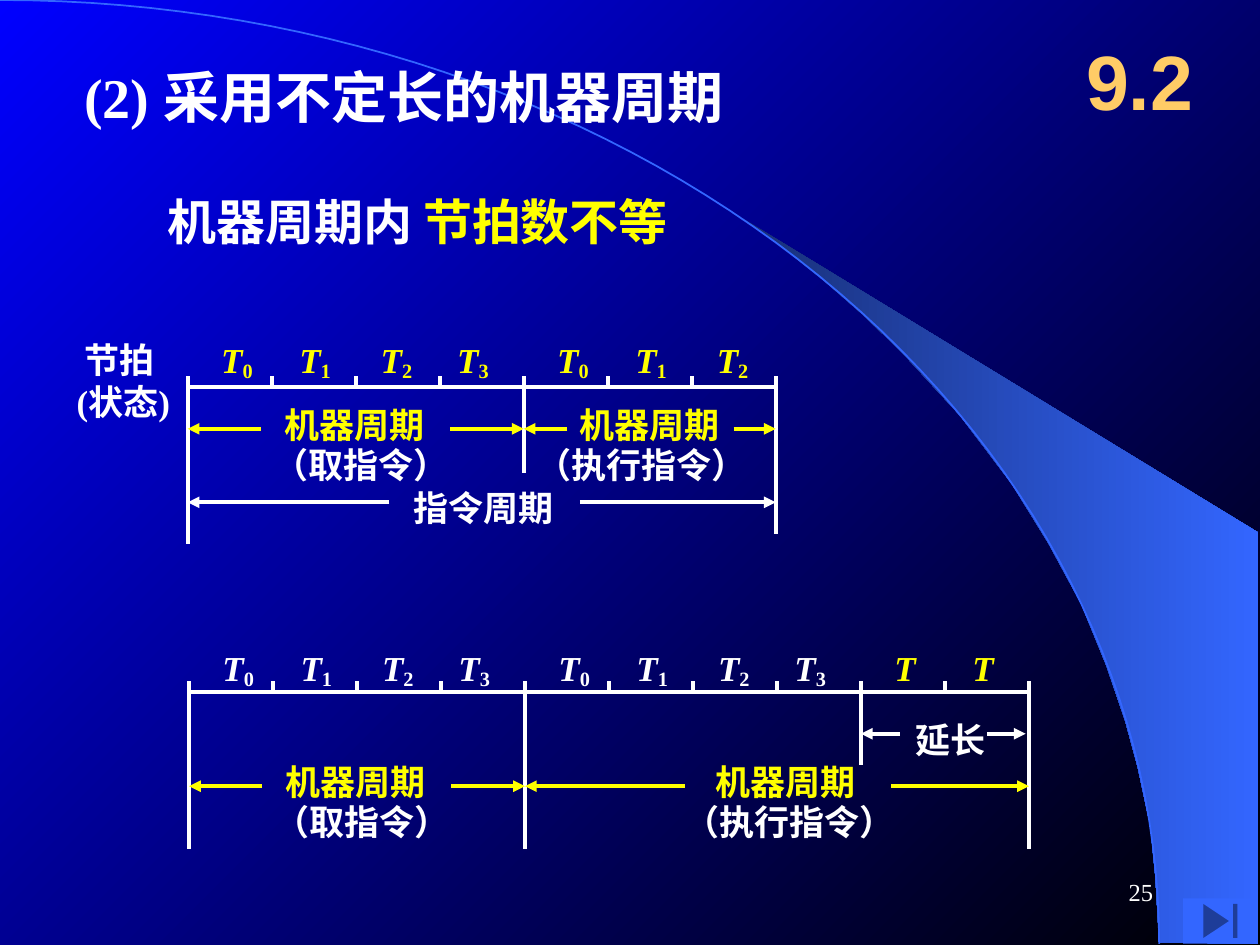
import math
import pptx
import pptx.dml.color
import pptx.enum.shapes
import pptx.enum.text
import pptx.oxml.ns
import pptx.util
from lxml import etree

WIDTH, HEIGHT = 10, 7.5
COLUMN, ROW = 2 / 3, 1 / 12  # one beat wide, one tick high
LABEL_COLUMNS = (0.25, 1.18, 2.15, 3.06)  # beat labels within a four-beat cycle
COLORS = {"white": "FFFFFF", "yellow": "FFFF00", "gold": "FFCC66", "blue": "3366FF",
          "navy": "182F76", "sky": "0000FF", "night": "000000"}
BAND = [(9.2, 7.48), (9.99, 7.49), (9.99, 4.23), (5.89, 1.73), (6.24, 1.99), (6.53, 2.22),
        (6.85, 2.5), (7.16, 2.8), (7.62, 3.3), (8.03, 3.84), (8.32, 4.31), (8.58, 4.79),
        (8.78, 5.28), (8.93, 5.72), (9.03, 6.09), (9.13, 6.56), (9.17, 6.96)]


def inches(*values):
    return [pptx.util.Inches(value) for value in values]


def rgb(name):
    return pptx.dml.color.RGBColor.from_string(COLORS[name])


def paint_gradient(fill, first, last, angle):
    fill.gradient()
    fill.gradient_angle = angle
    for stop, name in zip(fill.gradient_stops, (first, last)):
        stop.color.rgb = rgb(name)


def add_outline(page, points, closed):
    builder = page.shapes.build_freeform(*inches(*points[0]), scale=1.0)
    builder.add_line_segments([inches(*point) for point in points[1:]], close=closed)
    shape = builder.convert_to_shape()
    shape.shadow.inherit = False
    return shape


def add_text(shapes, area, paragraphs, wrap=False, align="LEFT", anchor="TOP", **formats):
    """Each paragraph is a list of (text, format) spans."""
    box = shapes.add_textbox(*inches(*area))
    frame = box.text_frame
    frame.word_wrap = wrap
    frame.vertical_anchor = getattr(pptx.enum.text.MSO_ANCHOR, anchor)
    for index, spans in enumerate(paragraphs):
        para = frame.add_paragraph() if index else frame.paragraphs[0]
        para.alignment = getattr(pptx.enum.text.PP_ALIGN, align)
        for text, changes in spans:
            span = para.add_run()
            span.text = text
            values = {"size": 20, "name": "Times New Roman", "bold": True,
                      "color": "white", **formats, **changes}
            span.font.color.rgb = rgb(values.pop("color"))
            values["size"] = pptx.util.Pt(values["size"])
            baseline = values.pop("baseline", None)
            for key, value in values.items():
                setattr(span.font, key, value)
            if baseline:
                span._r.get_or_add_rPr().set("baseline", str(baseline))


def add_line(shapes, origin, start, end, color="white", arrow=False):
    """Draw between two (column, row) places counted from the origin."""
    ends = [origin[axis] + place[axis] * (COLUMN, ROW)[axis]
            for place in (start, end) for axis in (0, 1)]
    line = shapes.add_connector(pptx.enum.shapes.MSO_CONNECTOR.STRAIGHT, *inches(*ends))
    line.line.color.rgb = rgb(color)
    line.line.width = pptx.util.Pt(2.25)
    if arrow:
        etree.SubElement(line.line._get_or_add_ln(), pptx.oxml.ns.qn("a:tailEnd"), type="triangle")
    etree.SubElement(line._element.spPr, pptx.oxml.ns.qn("a:effectLst"))


def add_label(shapes, origin, column, row, text, color="white"):
    area = (origin[0] + column * COLUMN, origin[1] + row * ROW, 0.2 + 0.28 * len(text), 0.44)
    add_text(shapes, area, [[(text, {})]], color=color)


def add_beat(shapes, origin, column, row, number, color):
    spans = [("T", {"italic": True})]
    if number is not None:
        spans.append((str(number), {"baseline": -15000}))
    area = (origin[0] + column * COLUMN, origin[1] + row * ROW, 0.37 if number is None else 0.45, 0.45)
    add_text(shapes, area, [spans], color=color)


def add_timeline(page, origin, label_row, cycles, drops, arrows, labels):
    """Axis with ticks, numbered beats, arrows and captions in one group.

    cycles: (beat numbers, color); drops: rows a tick reaches below the axis.
    """
    shapes = page.shapes.add_group_shape().shapes
    total = sum(len(numbers) for numbers, _ in cycles)
    add_line(shapes, origin, (0, 0), (total, 0))
    for column in range(total + 1):
        add_line(shapes, origin, (column, -1), (column, drops.get(column, 0)))
    for row, color, start, end in arrows:
        add_line(shapes, origin, (start, row), (end, row), color, arrow=True)
    for label in labels:
        add_label(shapes, origin, *label)
    for index, (numbers, color) in enumerate(cycles):
        for offset, number in zip(LABEL_COLUMNS, numbers):
            add_beat(shapes, origin, 4 * index + offset, label_row, number, color)


def add_backdrop(page):
    paint_gradient(page.background.fill, "sky", "night", 315)
    band = add_outline(page, BAND, closed=True)
    paint_gradient(band.fill, "navy", "blue", 0)
    band.line.fill.background()
    # Quarter ellipse from the top left corner
    angles = [math.radians(90 * step / 60) for step in range(61)]
    arc = add_outline(page, [(9.2 * math.sin(a), 7.49 * (1 - math.cos(a))) for a in angles], closed=False)
    arc.fill.background()
    arc.line.color.rgb = rgb("blue")
    arc.line.width = pptx.util.Pt(1)


def add_end_button(page):
    button = page.shapes.add_shape(pptx.enum.shapes.MSO_SHAPE.ACTION_BUTTON_END,
                                   *inches(9.39, 7.13, 0.59, 0.36))
    button.shadow.inherit = False
    button.fill.solid()
    button.fill.fore_color.rgb = rgb("blue")
    button.line.fill.background()


def main():
    deck = pptx.Presentation()
    deck.slide_width, deck.slide_height = inches(WIDTH, HEIGHT)
    page = deck.slides.add_slide(deck.slide_layouts[6])
    add_backdrop(page)

    # Headings
    add_text(page.shapes, (0.57, 0.45, 6.4, 0.64), [[("(2) 采用不定长的机器周期", {})]], wrap=True, size=32)
    add_text(page.shapes, (1.23, 1.47, 5.51, 0.57),
             [[("机器周期内 ", {}), ("节拍数不等", {"color": "yellow"})]], wrap=True, size=28)
    add_text(page.shapes, (8.42, 0.17, 1.25, 0.92), [[("9.2", {})]], wrap=True, align="CENTER",
             anchor="MIDDLE", size=44, name="Arial", color="gold")

    # Cycles of four and three beats
    add_timeline(
        page, (1.49, 3.07), -5.2,
        cycles=[(range(4), "yellow"), (range(3), "yellow")],
        drops={0: 15, 4: 8.25, 7: 14},
        arrows=[(4, "yellow", 0.87, 0), (4, "yellow", 3.12, 4), (4, "yellow", 4.52, 4),
                (4, "yellow", 6.5, 7), (11, "white", 2.4, 0), (11, "white", 4.67, 7)],
        labels=[(1, 1, "机器周期", "yellow"), (4.52, 1, "机器周期", "yellow"),
                (0.87, 4.8, "（取指令）"), (4, 4.8, "（执行指令）"), (2.54, 8.9, "指令周期")])
    add_text(page.shapes, (0.51, 2.64, 1.07, 0.77), [[(" 节拍", {})], [("(状态)", {})]])

    # Second cycle lengthened by two beats
    add_timeline(
        page, (1.5, 5.49), -4.9,
        cycles=[(range(4), "white"), (range(4), "white"), ((None, None), "yellow")],
        drops={0: 15, 4: 15, 8: 7, 10: 15},
        arrows=[(9, "yellow", 0.87, 0), (9, "yellow", 3.12, 4), (9, "yellow", 5.9, 4),
                (9, "yellow", 8.36, 10), (4, "white", 8.46, 8), (4, "white", 9.5, 9.96)],
        labels=[(1, 6, "机器周期", "yellow"), (6.12, 6, "机器周期", "yellow"),
                (0.87, 9.8, "（取指令）"), (5.75, 9.8, "（执行指令）"), (8.5, 2, "延长")])

    # Footer
    add_end_button(page)
    add_text(page.shapes, (7.17, 6.83, 2.08, 0.5), [[("25", {})]], wrap=True, align="RIGHT",
             anchor="MIDDLE", size=14, bold=False)
    deck.save("out.pptx")


if __name__ == "__main__":
    main()
